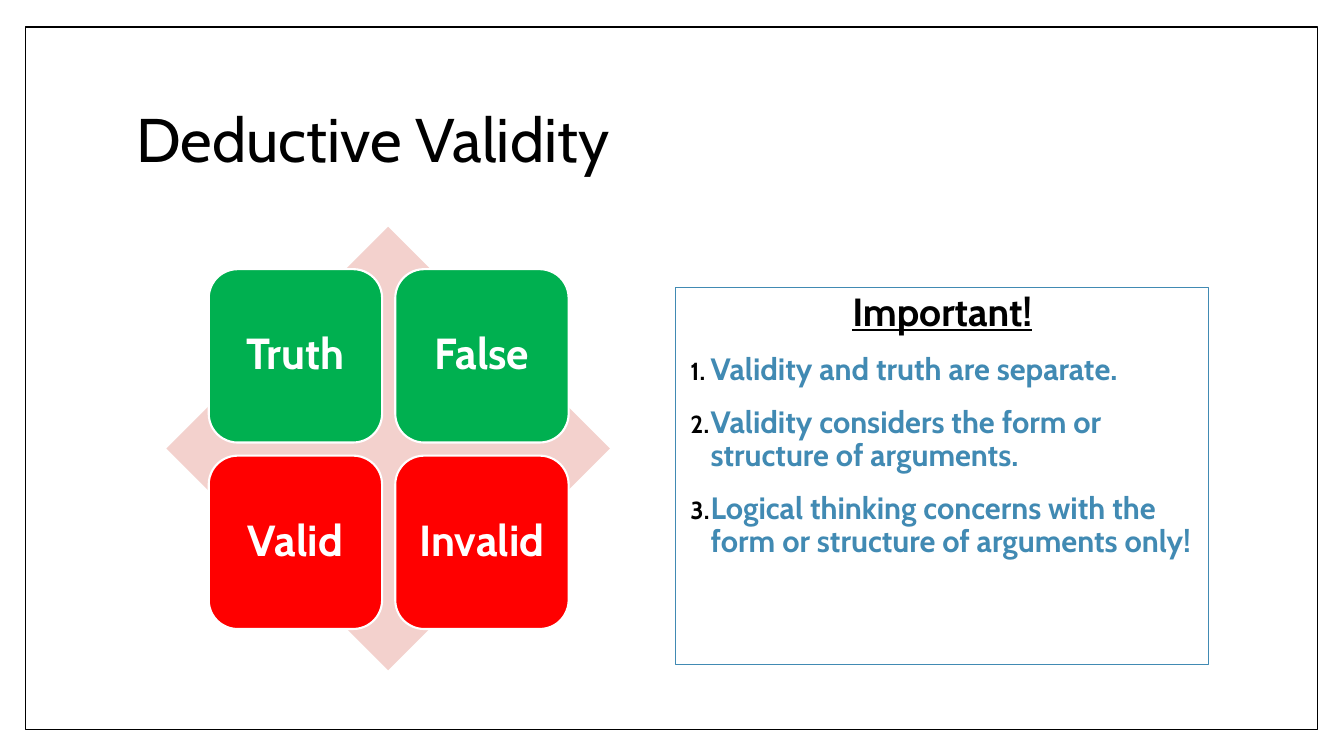
"""Build the Deductive Validity slide."""
import pptx
import pptx.dml.color
import pptx.enum.shapes
import pptx.enum.text
import pptx.oxml
import pptx.oxml.ns
import pptx.util
from pptx.util import Inches

COLORS = {
    "black": "000000",
    "white": "FFFFFF",
    "pink": "F3D1CD",
    "green": "00B050",
    "red": "FF0000",
    "blue": "418AB3",
}
FONT = "Cabin"
SHAPE = pptx.enum.shapes.MSO_SHAPE
ALIGN = pptx.enum.text.PP_ALIGN
ANCHOR = pptx.enum.text.MSO_ANCHOR
TILES = [("Truth", "green"), ("False", "green"), ("Valid", "red"), ("Invalid", "red")]
POINTS = [
    "Validity and truth are separate.",
    "Validity considers the form or structure of arguments.",
    "Logical thinking concerns with the form or structure of arguments only!",
]


def color(name):
    return pptx.dml.color.RGBColor.from_string(COLORS[name])


def add_box(page, kind, left, top, width, height, fill=None, line=None, weight=1):
    box = page.shapes.add_shape(
        kind, Inches(left), Inches(top), Inches(width), Inches(height))
    box.shadow.inherit = False
    if fill:
        box.fill.solid()
        box.fill.fore_color.rgb = color(fill)
    else:
        box.fill.background()
    if line:
        box.line.color.rgb = color(line)
        box.line.width = pptx.util.Pt(weight)
    else:
        box.line.fill.background()
    return box


def write(para, text, size, tint, bold=False, underline=False,
          align=ALIGN.LEFT, before=0):
    para.alignment = align
    para.line_spacing = 0.9
    para.space_before = pptx.util.Pt(before)
    span = para.add_run()
    span.text = text
    span.font.name = FONT
    span.font.size = pptx.util.Pt(size)
    span.font.bold = bold
    span.font.underline = underline
    span.font.color.rgb = color(tint)


def number(para):
    properties = para._p.get_or_add_pPr()
    properties.set("marL", str(Inches(0.25)))
    properties.set("indent", str(Inches(-0.2)))
    namespace = pptx.oxml.ns.nsdecls("a")
    for markup in (
        f'<a:buClr {namespace}><a:srgbClr val="{COLORS["black"]}"/></a:buClr>',
        f'<a:buSzPct {namespace} val="80000"/>',
        f'<a:buFont {namespace} typeface="+mj-lt"/>',
        f'<a:buAutoNum {namespace} type="arabicPeriod"/>',
    ):
        properties.append(pptx.oxml.parse_xml(markup))


def add_title(page, text):
    title = page.shapes.title
    title.left, title.top = Inches(1.25), Inches(0.67)
    title.width, title.height = Inches(10.8), Inches(1.48)
    frame = title.text_frame
    frame.auto_size = pptx.enum.text.MSO_AUTO_SIZE.NONE
    frame.vertical_anchor = ANCHOR.MIDDLE
    write(frame.paragraphs[0], text, 44, "black")


def add_matrix(page):
    add_box(page, SHAPE.DIAMOND, 1.65, 2.25, 4.4, 4.4, fill="pink")
    for index, (label, fill) in enumerate(TILES):
        row, column = divmod(index, 2)
        tile = add_box(page, SHAPE.ROUNDED_RECTANGLE,
                       2.07 + 1.85 * column, 2.67 + 1.85 * row, 1.72, 1.72,
                       fill=fill, line="white", weight=1.5)
        frame = tile.text_frame
        frame.word_wrap = True
        frame.vertical_anchor = ANCHOR.MIDDLE
        frame.margin_left = frame.margin_right = Inches(0.13)
        frame.margin_top = frame.margin_bottom = Inches(0.13)
        write(frame.paragraphs[0], label, 31, "white", bold=True, align=ALIGN.CENTER)


def add_notice(page):
    box = add_box(page, SHAPE.RECTANGLE, 6.7, 2.85, 5.29, 3.74,
                  line="blue", weight=0.75)
    frame = box.text_frame
    frame.word_wrap = True
    frame.vertical_anchor = ANCHOR.TOP
    write(frame.paragraphs[0], "Important!", 28, "black", bold=True,
          underline=True, align=ALIGN.CENTER, before=14)
    for point in POINTS:
        para = frame.add_paragraph()
        write(para, point, 22, "blue", bold=True, before=14)
        number(para)


def main():
    deck = pptx.Presentation()
    deck.slide_width, deck.slide_height = Inches(13.33), Inches(7.5)
    page = deck.slides.add_slide(deck.slide_layouts[5])
    add_box(page, SHAPE.RECTANGLE, 0.25, 0.27, 12.82, 6.97, line="black")
    add_title(page, "Deductive Validity")
    add_matrix(page)
    add_notice(page)
    deck.save("out.pptx")


if __name__ == "__main__":
    main()
